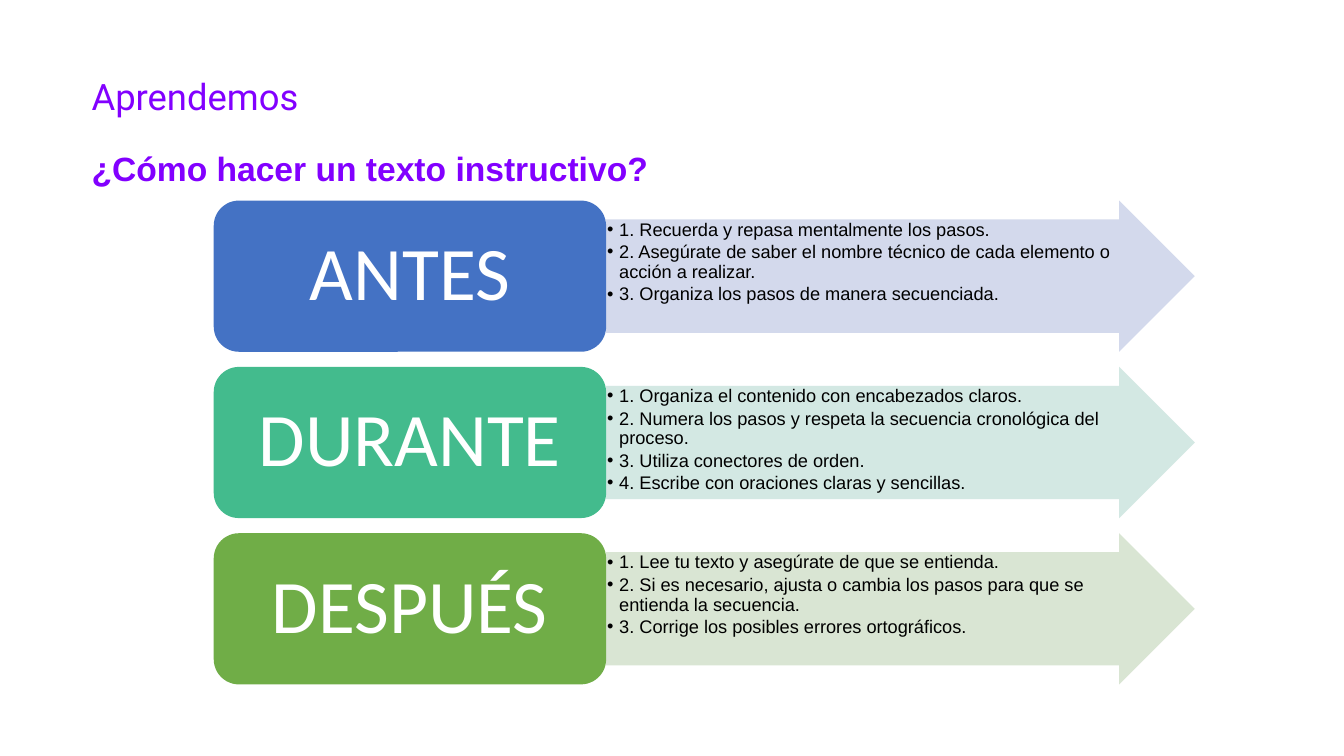
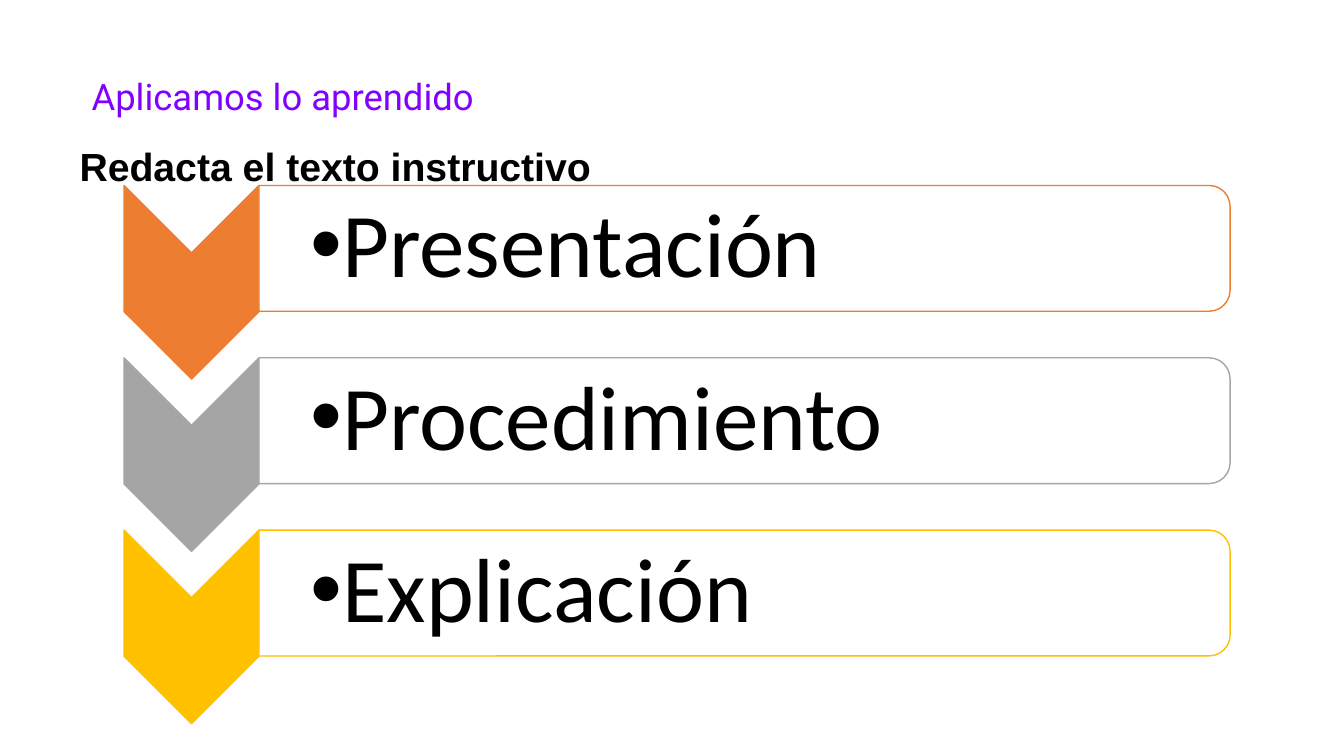
from lxml import etree
from pptx import Presentation
from pptx import util as u
from pptx.dml.color import RGBColor
from pptx.enum import shapes, text
from pptx.oxml import ns

SLIDE_SIZE = (13.33, 7.5)
COLORS = {
    "title": "8200FF", "black": "000000", "white": "FFFFFF",
    "blue": "4472C4", "pale_blue": "CFD5EA",
    "teal": "43BB8D", "pale_teal": "CFE6E0",
    "green": "70AD47", "pale_green": "D5E3CF",
    "orange": "ED7D31", "gray": "A5A5A5", "gold": "FFC000",
}
STAGES = [
    ("ANTES", "blue", "pale_blue", [
        "1. Recuerda y repasa mentalmente los pasos.",
        "2. Asegúrate de saber el nombre técnico de cada elemento o acción a realizar.",
        "3. Organiza los pasos de manera secuenciada."]),
    ("DURANTE", "teal", "pale_teal", [
        "1. Organiza el contenido con encabezados claros.",
        "2. Numera los pasos y respeta la secuencia cronológica del proceso.",
        "3. Utiliza conectores de orden.",
        "4. Escribe con oraciones claras y sencillas."]),
    ("DESPUÉS", "green", "pale_green", [
        "1. Lee tu texto y asegúrate de que se entienda.",
        "2. Si es necesario, ajusta o cambia los pasos para que se entienda la secuencia.",
        "3. Corrige los posibles errores ortográficos."]),
]
PARTS = [("Presentación", "orange"), ("Procedimiento", "gray"), ("Explicación", "gold")]


def color(name):
    """Return the named colour."""
    return RGBColor.from_string(COLORS[name])


def inches(values):
    """Convert a sequence of numbers to lengths."""
    return [u.Inches(value) for value in values]


def split_rows(box, count, gap):
    """Split a box into equal rows; a negative gap makes them overlap."""
    left, top, width, height = box
    row = (height - gap * (count - 1)) / count
    return [(left, top + index * (row + gap), width, row) for index in range(count)]


def add_bullet(paragraph, indent):
    """Give a paragraph a hanging round bullet."""
    properties = paragraph._p.get_or_add_pPr()
    properties.set("marL", str(u.Inches(indent)))
    properties.set("indent", str(-u.Inches(indent)))
    etree.SubElement(properties, ns.qn("a:buFont")).set("typeface", "Arial")
    etree.SubElement(properties, ns.qn("a:buChar")).set("char", "•")


def write(shape, lines, font="Arial", size=13, ink="black", bold=False, centered=False,
          anchor=text.MSO_ANCHOR.TOP, insets=(0.1, 0.05, 0.1, 0.05), bullet=None):
    """Write formatted paragraphs into a shape."""
    frame = shape.text_frame
    frame.word_wrap = True
    frame.vertical_anchor = anchor
    (frame.margin_left, frame.margin_top,
     frame.margin_right, frame.margin_bottom) = inches(insets)
    for index, line in enumerate(lines):
        paragraph = frame.add_paragraph() if index else frame.paragraphs[0]
        if bullet:
            add_bullet(paragraph, bullet)
            paragraph.space_after = u.Pt(2)
        paragraph.alignment = text.PP_ALIGN.CENTER if centered else text.PP_ALIGN.LEFT
        paragraph.line_spacing = 0.9
        run = paragraph.add_run()
        run.text = line
        run.font.name, run.font.size, run.font.bold = font, u.Pt(size), bold
        run.font.color.rgb = color(ink)


def add_text(slide, box, lines, **style):
    """Add a text box with formatted text."""
    write(slide.shapes.add_textbox(*inches(box)), lines, **style)


def add_block(slide, kind, box, fill, line=None, opacity=None, turned=False):
    """Add a filled shape that covers the box, turned a quarter if asked."""
    left, top, width, height = box
    if turned:
        shift = (width - height) / 2
        box = (left + shift, top - shift, height, width)
    shape = slide.shapes.add_shape(kind, *inches(box))
    shape.rotation = 90 if turned else 0
    shape.shadow.inherit = False
    shape.fill.solid()
    shape.fill.fore_color.rgb = color(fill)
    if opacity:
        solid = shape._element.spPr.find(ns.qn("a:solidFill"))
        etree.SubElement(solid[0], ns.qn("a:alpha")).set("val", str(opacity * 1000))
    if line:
        shape.line.color.rgb = color(line)
        shape.line.width = u.Pt(1)
    else:
        shape.line.fill.background()
    return shape


def add_titled_slide(presentation, title):
    """Add a blank slide with the shared title style."""
    slide = presentation.slides.add_slide(presentation.slide_layouts[6])
    add_text(slide, (0.81, 0.74, 11.73, 0.42), [title],
             font="Roboto", size=26, ink="title")
    return slide


def add_stage(slide, box, name, fill, pale, steps):
    """Draw a named stage followed by an arrow that lists its steps."""
    left, top, width, height = box
    label_width = width * 0.4
    arrow = add_block(slide, shapes.MSO_SHAPE.RIGHT_ARROW,
                      (left + label_width, top, width - label_width, height),
                      pale, opacity=90)
    arrow.adjustments[0] = 0.75
    write(arrow, steps, insets=(0.01,) * 4, bullet=0.12)
    label = add_block(slide, shapes.MSO_SHAPE.ROUNDED_RECTANGLE,
                      (left, top, label_width, height), fill)
    write(label, [name], font="Calibri", size=54, ink="white", centered=True,
          anchor=text.MSO_ANCHOR.MIDDLE)


def add_part(slide, box, name, accent):
    """Draw a downward chevron beside an outlined bar with its name."""
    left, top, width, height = box
    chevron_width, bar_height = width * 0.122, height * 0.65
    bar = (left + chevron_width, top, width - chevron_width, bar_height)
    add_block(slide, shapes.MSO_SHAPE.CHEVRON, (left, top, chevron_width, height),
              accent, line=accent, turned=True)
    add_block(slide, shapes.MSO_SHAPE.ROUND_2_SAME_RECTANGLE, bar,
              "white", line=accent, opacity=90, turned=True)
    add_text(slide, bar, [name], font="Calibri", size=65,
             anchor=text.MSO_ANCHOR.MIDDLE, insets=(0.51, 0.05, 0.05, 0.05), bullet=0.31)


def build_stages_slide(presentation):
    """Build the slide on the stages of writing."""
    slide = add_titled_slide(presentation, "Aprendemos")
    add_text(slide, (0.81, 1.4, 6.42, 0.59), ["¿Cómo hacer un texto instructivo?"],
             size=24, ink="title", bold=True, anchor=text.MSO_ANCHOR.MIDDLE)
    rows = split_rows((2.12, 1.99, 9.73, 4.8), len(STAGES), 0.15)
    for row, stage in zip(rows, STAGES):
        add_stage(slide, row, *stage)


def build_parts_slide(presentation):
    """Build the slide on the parts of the text."""
    slide = add_titled_slide(presentation, "Aplicamos lo aprendido")
    add_text(slide, (0.69, 1.42, 8.85, 0.47), ["Redacta el texto instructivo"],
             size=28, bold=True)
    rows = split_rows((1.23, 1.84, 10.97, 5.34), len(PARTS), -0.21)
    for row, part in zip(rows, PARTS):
        add_part(slide, row, *part)


def main():
    """Build and save the presentation."""
    presentation = Presentation()
    presentation.slide_width, presentation.slide_height = inches(SLIDE_SIZE)
    build_stages_slide(presentation)
    build_parts_slide(presentation)
    presentation.save("out.pptx")


if __name__ == "__main__":
    main()
